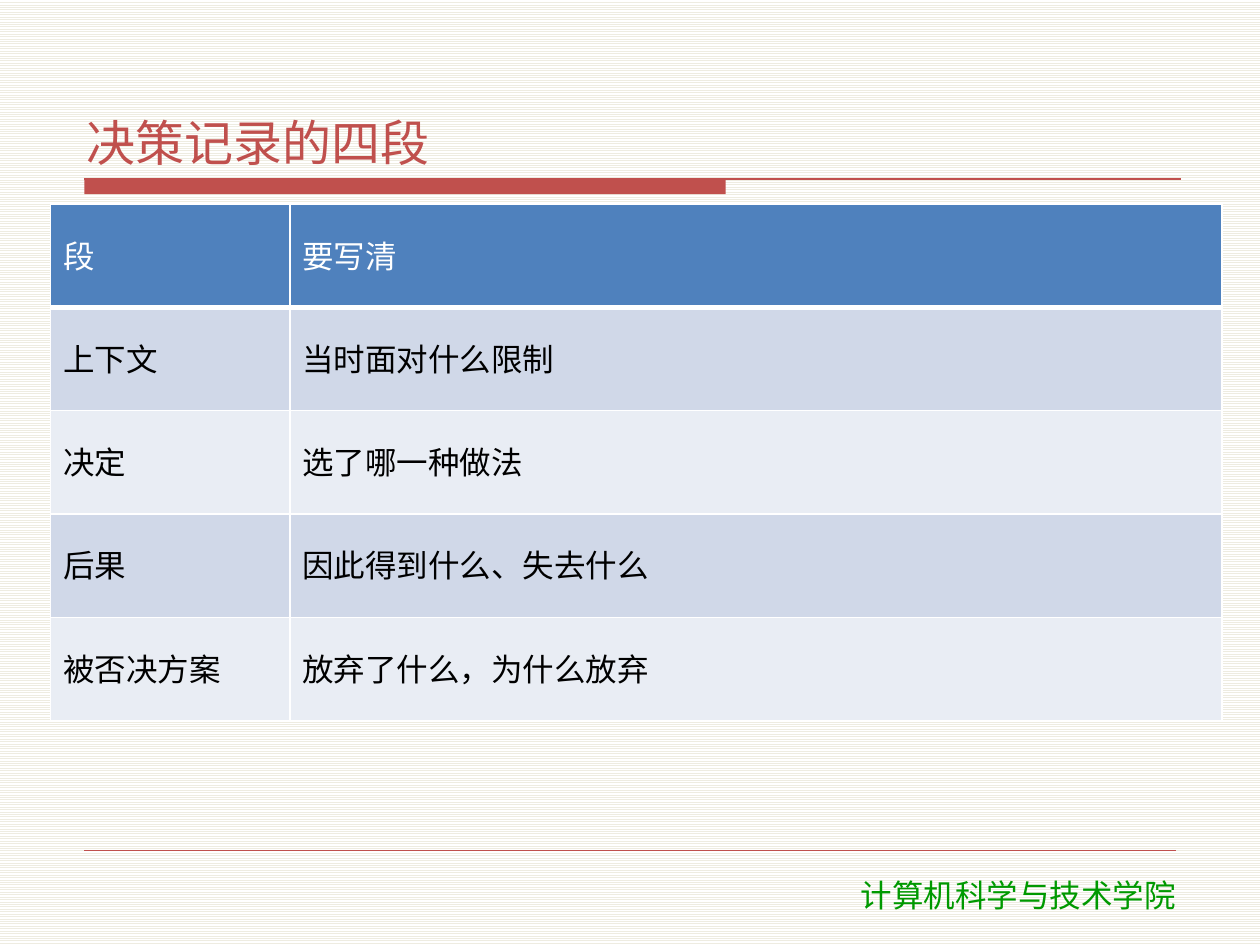
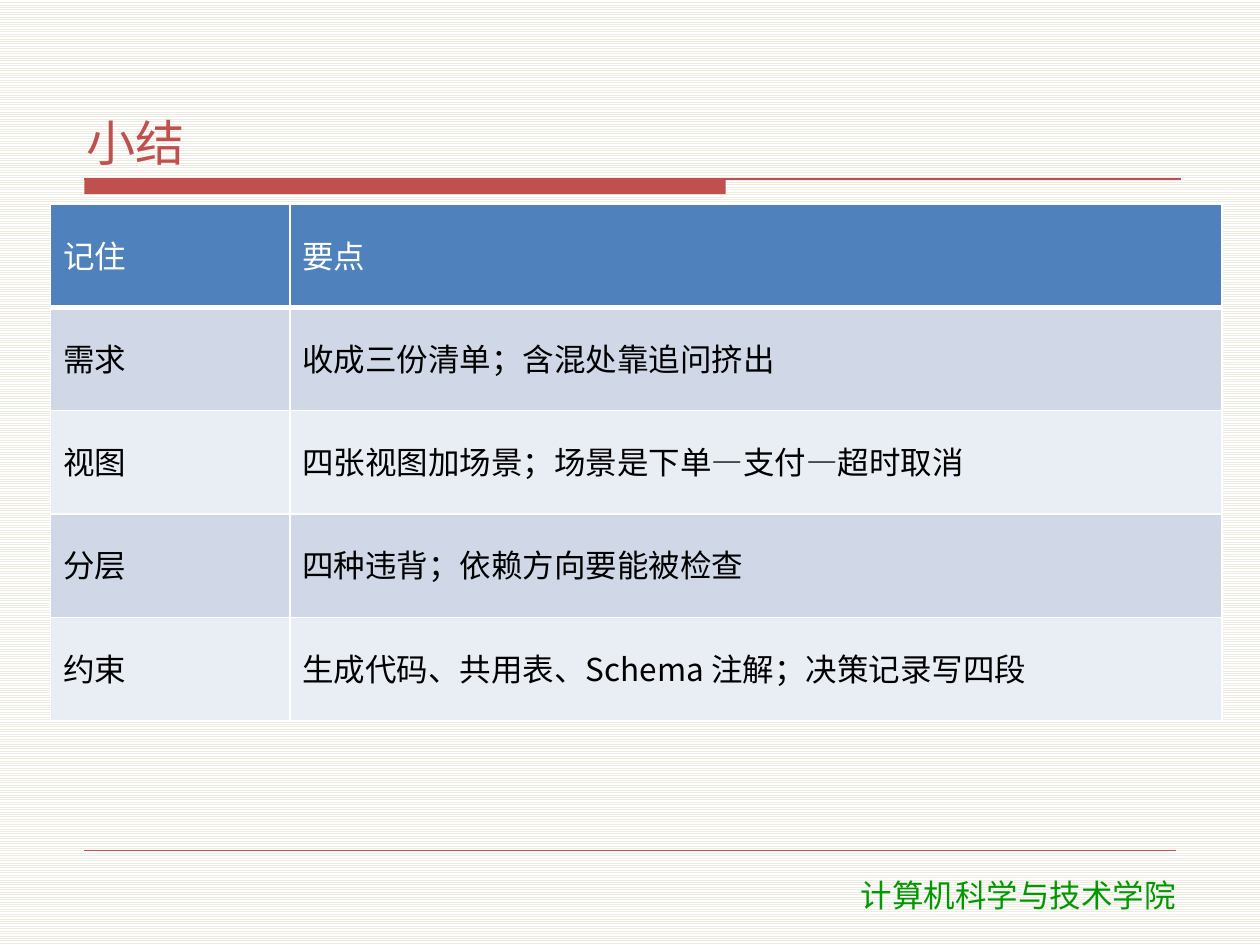
from lxml import etree
from pptx import Presentation
from pptx.dml.color import RGBColor
from pptx.enum.dml import MSO_PATTERN
from pptx.enum.shapes import MSO_CONNECTOR, MSO_SHAPE
from pptx.enum.text import MSO_ANCHOR, MSO_AUTO_SIZE, PP_ALIGN
from pptx.oxml.ns import qn
from pptx.util import Inches, Pt

STRIPES = MSO_PATTERN.LIGHT_HORIZONTAL
STRAIGHT = MSO_CONNECTOR.STRAIGHT
RECTANGLE = MSO_SHAPE.RECTANGLE
MIDDLE, BOTTOM = MSO_ANCHOR.MIDDLE, MSO_ANCHOR.BOTTOM
LEFT, CENTER = PP_ALIGN.LEFT, PP_ALIGN.CENTER
NO_AUTOFIT = MSO_AUTO_SIZE.NONE

RED = RGBColor(0xC0, 0x50, 0x4D)
GREEN = RGBColor(0x00, 0x99, 0x00)
BLUE = RGBColor(0x4F, 0x81, 0xBD)
BANDS = RGBColor(0xE9, 0xED, 0xF4), RGBColor(0xD0, 0xD8, 0xE8)
CREAM = RGBColor(0xEE, 0xEC, 0xE1)
WHITE = RGBColor(0xFF, 0xFF, 0xFF)
BLACK = RGBColor(0x00, 0x00, 0x00)

TITLE_FONT = "Noto Sans CJK SC"
FOOTER_FONT = "DejaVu Sans"
FOOTER = "计算机科学与技术学院"
COLUMN_WIDTHS = 1.9, 7.4
ROW_HEIGHT = 0.82
RULES = [(1.42, 9.37, 0.75), (6.75, 9.33, 0.25)]
BORDERS = "a:lnL", "a:lnR", "a:lnT", "a:lnB"

CONTENT = [
    ("决策记录的四段", [
        ("段", "要写清"),
        ("上下文", "当时面对什么限制"),
        ("决定", "选了哪一种做法"),
        ("后果", "因此得到什么、失去什么"),
        ("被否决方案", "放弃了什么，为什么放弃"),
    ]),
    ("小结", [
        ("记住", "要点"),
        ("需求", "收成三份清单；含混处靠追问挤出"),
        ("视图", "四张视图加场景；场景是下单—支付—超时取消"),
        ("分层", "四种违背；依赖方向要能被检查"),
        ("约束", "生成代码、共用表、Schema 注解；决策记录写四段"),
    ]),
]


def write(text_frame, text, size, color, font_name, alignment=LEFT):
    text_frame.text = text
    paragraph = text_frame.paragraphs[0]
    paragraph.alignment = alignment
    font = paragraph.font
    font.size = Pt(size)
    font.bold = False
    font.name = font_name
    font.color.rgb = color
    properties = paragraph._p.pPr.find(qn("a:defRPr"))
    etree.SubElement(properties, qn("a:ea"), typeface=font_name)
    return paragraph


def add_borders(cell, bottom_width):
    properties = cell._tc.get_or_add_tcPr()
    for index, border in enumerate(BORDERS):
        width = bottom_width if border == "a:lnB" else 1
        line = etree.Element(qn(border), w=str(Pt(width)))
        fill = etree.SubElement(line, qn("a:solidFill"))
        etree.SubElement(fill, qn("a:srgbClr"), val=str(WHITE))
        properties.insert(index, line)


presentation = Presentation()
presentation.slide_width = Inches(10)
presentation.slide_height = Inches(7.5)
title_layout = presentation.slide_layouts[5]

for title_text, rows in CONTENT:
    slide = presentation.slides.add_slide(title_layout)
    background = slide.background.fill
    background.patterned()
    background.pattern = STRIPES
    background.fore_color.rgb = CREAM
    background.back_color.rgb = WHITE

    title_bar = slide.shapes.add_shape(
        RECTANGLE, Inches(0.67), Inches(1.42), Inches(5.09), Inches(0.12))
    title_bar.shadow.inherit = False
    title_bar.fill.solid()
    title_bar.fill.fore_color.rgb = RED
    title_bar.line.fill.background()

    for top, right, width in RULES:
        rule = slide.shapes.add_connector(
            STRAIGHT, Inches(0.67), Inches(top), Inches(right), Inches(top))
        rule.line.color.rgb = RED
        rule.line.width = Pt(width)
        etree.SubElement(rule._element.spPr, qn("a:effectLst"))

    footer = slide.shapes.add_textbox(
        Inches(6.07), Inches(6.9), Inches(4.02), Inches(0.4))
    footer.text_frame.word_wrap = True
    write(footer.text_frame, FOOTER, 18, GREEN, FOOTER_FONT, CENTER)

    title = slide.shapes.title
    title.left, title.top = Inches(0.63), Inches(0.33)
    title.width, title.height = Inches(8.75), Inches(1.05)
    frame = title.text_frame
    frame.auto_size = NO_AUTOFIT
    frame.vertical_anchor = BOTTOM
    frame.margin_left = frame.margin_right = Inches(0.06)
    frame.margin_top = frame.margin_bottom = Inches(0.02)
    paragraph = write(frame, title_text, 28, RED, TITLE_FONT)
    paragraph.space_after = Pt(2)

    table = slide.shapes.add_table(
        len(rows), len(COLUMN_WIDTHS), Inches(0.4), Inches(1.62),
        Inches(sum(COLUMN_WIDTHS)), Inches(ROW_HEIGHT * len(rows))).table
    table.horz_banding = False
    for column, width in zip(table.columns, COLUMN_WIDTHS):
        column.width = Inches(width)

    for row_index, texts in enumerate(rows):
        is_header = row_index == 0
        for column_index, text in enumerate(texts):
            cell = table.cell(row_index, column_index)
            cell.vertical_anchor = MIDDLE
            cell.fill.solid()
            cell.fill.fore_color.rgb = BLUE if is_header else BANDS[row_index % 2]
            add_borders(cell, 3 if is_header else 1)
            color = WHITE if is_header else BLACK
            paragraph = write(cell.text_frame, text, 18, color, TITLE_FONT)
            paragraph.line_spacing = 0.9
            paragraph.space_after = Pt(2)

presentation.save("out.pptx")
